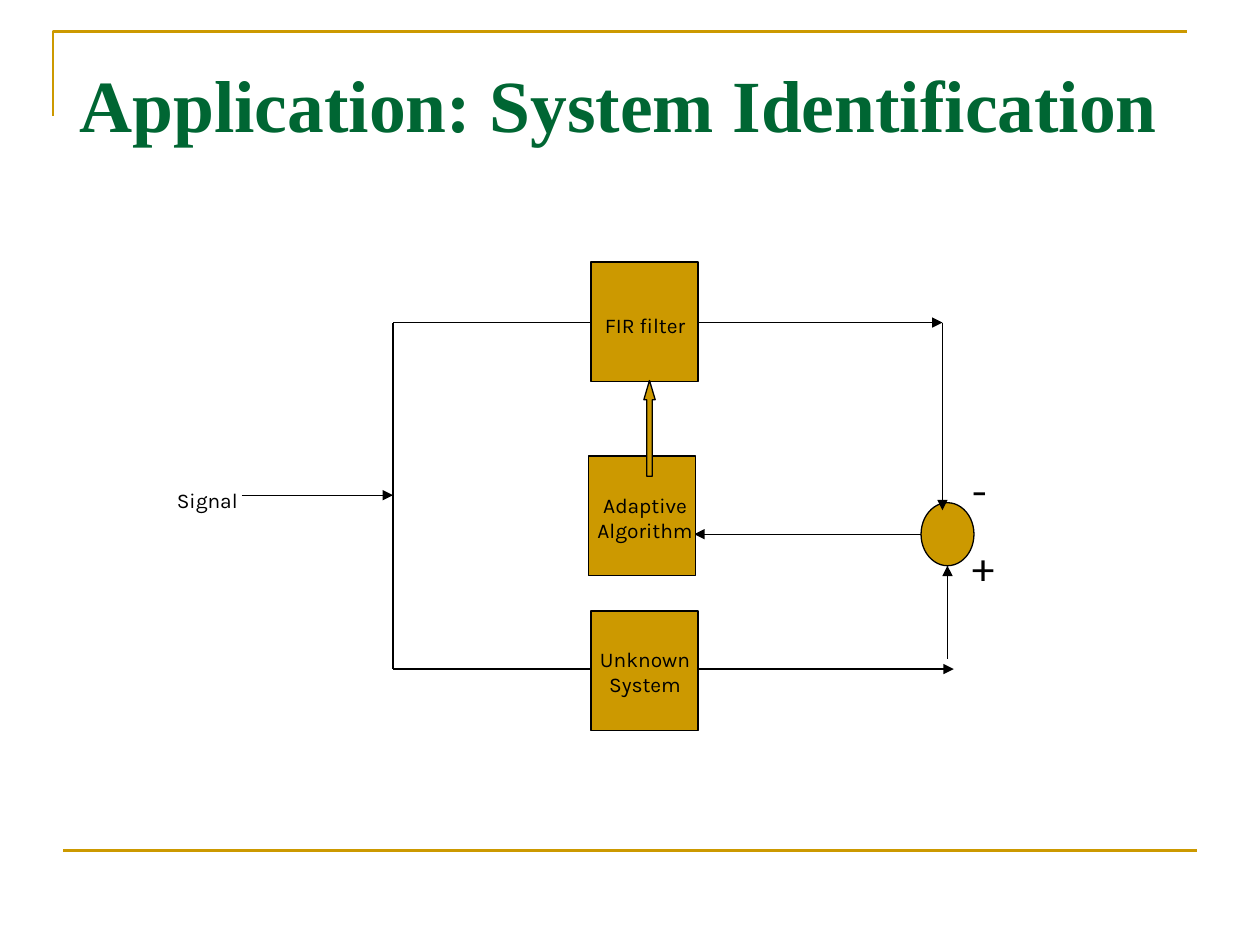
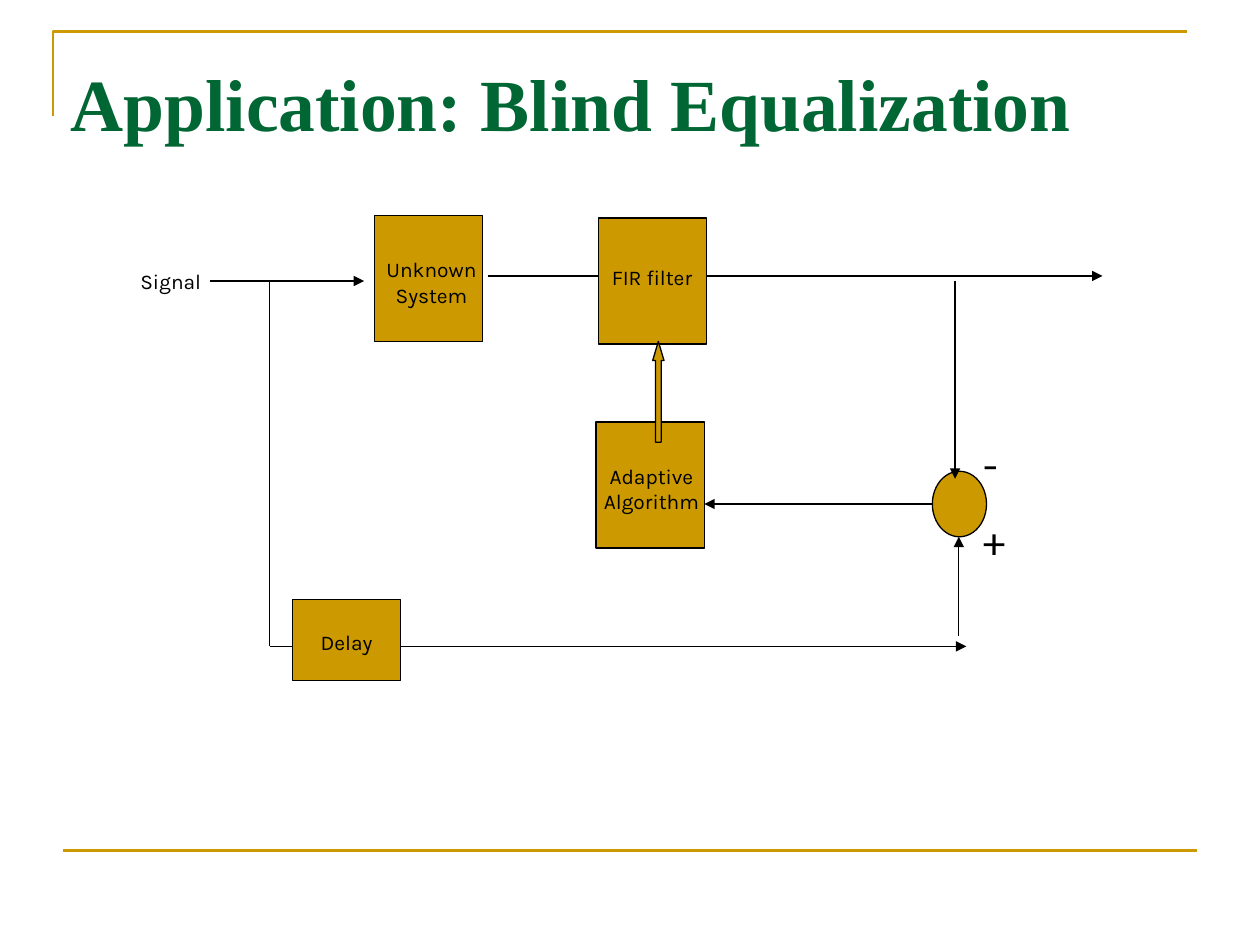
from pptx import Presentation
from pptx.dml.color import RGBColor
from pptx.enum.shapes import MSO_CONNECTOR as Connector, MSO_SHAPE as Shape
from pptx.enum.text import MSO_ANCHOR as Anchor, PP_ALIGN as Align
from pptx.oxml.ns import qn
from pptx.util import Inches, Pt
from lxml.etree import SubElement

GOLD = RGBColor(0xCC, 0x99, 0x00)
GREEN = RGBColor(0x00, 0x66, 0x33)
BLACK = RGBColor(0x00, 0x00, 0x00)
TITLE_FONT, LABEL_FONT = "Times New Roman", "Karla"


def place(shape, box):
    shape.left, shape.top, shape.width, shape.height = map(Inches, box)


def write_text(frame, text, *, font=LABEL_FONT, size=12, color=BLACK, bold=False,
               align=Align.CENTER, gap=0):
    """Fill a text frame, one paragraph per line of text."""
    frame.word_wrap = True
    frame.vertical_anchor = Anchor.TOP
    for index, line in enumerate(text.split("\n")):
        paragraph = frame.add_paragraph() if index else frame.paragraphs[0]
        paragraph.alignment = align
        paragraph.space_before = Pt(gap if index else 0)
        run = paragraph.add_run()
        run.text = line
        run.font.name, run.font.size, run.font.bold = font, Pt(size), bold
        run.font.color.rgb = color


def add_label(slide, text, box, **text_format):
    label = slide.shapes.add_textbox(*map(Inches, box))
    write_text(label.text_frame, text, **text_format)


def add_line(slide, start, end, *, color=BLACK, width=0.75, arrow=True):
    line = slide.shapes.add_connector(Connector.STRAIGHT, *map(Inches, start + end))
    line.line.color.rgb = color
    line.line.width = Pt(width)
    if arrow:
        SubElement(line.line._get_or_add_ln(), qn("a:tailEnd"), type="triangle")
    SubElement(line.element.spPr, qn("a:effectLst"))
    return line


def add_gold_shape(slide, kind, box):
    shape = slide.shapes.add_shape(kind, *map(Inches, box))
    shape.shadow.inherit = False
    shape.fill.solid()
    shape.fill.fore_color.rgb = GOLD
    shape.line.color.rgb = BLACK
    shape.line.width = Pt(0.75)
    return shape


def add_block(slide, text, box, label_box):
    add_gold_shape(slide, Shape.RECTANGLE, box)
    add_label(slide, text, label_box)


def add_update_arrow(slide, box):
    """Hollow arrow from the algorithm up to the filter."""
    arrow = add_gold_shape(slide, Shape.UP_ARROW, box)
    arrow.adjustments[0], arrow.adjustments[1] = 0.5, 1.691


def add_summing_node(slide, box, signs_box):
    add_gold_shape(slide, Shape.OVAL, box)
    add_label(slide, "-\n+", signs_box, size=24, align=Align.LEFT, gap=14)


def add_frame_lines(slide, layout):
    """Draw the corner and footer rules, then hand them to the shared layout."""
    builder = slide.shapes.build_freeform(Inches(0.42), Inches(0.92))
    builder.add_line_segments([(Inches(0.42), Inches(0.25)),
                               (Inches(9.42), Inches(0.25))], close=False)
    corner = builder.convert_to_shape()
    corner.shadow.inherit = False
    corner.fill.background()
    corner.line.color.rgb = GOLD
    corner.line.width = Pt(1.5)
    footer = add_line(slide, (0.5, 6.75), (9.5, 6.75), color=GOLD, width=1.5, arrow=False)
    for shape in (corner, footer):
        layout.shapes.element.append(shape.element)


def add_titled_slide(presentation, layout, title, box):
    slide = presentation.slides.add_slide(layout)
    place(slide.shapes.title, box)
    frame = slide.shapes.title.text_frame
    frame.margin_top = Inches(0.12)
    write_text(frame, title, font=TITLE_FONT, size=42, color=GREEN, bold=True,
               align=Align.LEFT)
    return slide


def draw_system_identification(slide):
    split, top, bottom = 3.12, 2.56, 5.31
    # Signal input and the two branches
    add_label(slide, "Signal", (0.95, 3.82, 1.39, 0.41))
    add_line(slide, (1.92, 3.93), (split, 3.93))
    add_line(slide, (split, top), (split, bottom), arrow=False)
    add_line(slide, (split, top), (7.48, top))
    add_line(slide, (split, bottom), (7.57, bottom))
    # Feedback to the algorithm
    add_line(slide, (7.52, 5.23), (7.52, 4.49))
    add_line(slide, (7.52, 4.24), (5.51, 4.24))
    # Blocks
    add_block(slide, "Unknown System", (4.69, 4.85, 0.85, 0.95), (4.5, 5.08, 1.24, 0.51))
    add_block(slide, "FIR filter", (4.69, 2.08, 0.85, 0.95), (3.91, 2.43, 2.42, 0.41))
    add_block(slide, "Adaptive Algorithm", (4.67, 3.62, 0.85, 0.95), (4.44, 3.86, 1.36, 0.51))
    add_update_arrow(slide, (5.11, 3.02, 0.09, 0.76))
    add_summing_node(slide, (7.31, 3.99, 0.42, 0.5), (7.62, 3.64, 0.46, 1.51))
    add_line(slide, (7.48, top), (7.48, 4.05))


def draw_blind_equalization(slide):
    split, top, bottom = 2.14, 2.23, 5.13
    # Signal input, filter path and delayed branch
    add_label(slide, "Signal", (0.65, 2.08, 1.41, 0.44))
    add_line(slide, (1.67, top), (2.89, top))
    add_line(slide, (split, top), (split, bottom), arrow=False)
    add_line(slide, (3.87, 2.19), (8.75, 2.19))
    add_line(slide, (split, bottom), (7.67, bottom))
    # Feedback to the algorithm
    add_line(slide, (7.61, 5.05), (7.61, 4.26))
    add_line(slide, (7.61, 4), (5.59, 4))
    # Blocks
    add_block(slide, "Unknown System", (2.97, 1.71, 0.86, 1), (2.77, 1.99, 1.31, 0.51))
    add_block(slide, "FIR filter", (4.75, 1.73, 0.86, 1), (3.95, 2.05, 2.45, 0.44))
    add_block(slide, "Adaptive Algorithm", (4.73, 3.35, 0.86, 1), (4.53, 3.63, 1.28, 0.51))
    add_block(slide, "Delay", (2.32, 4.76, 0.86, 0.64), (2, 4.95, 1.5, 0.44))
    add_update_arrow(slide, (5.18, 2.71, 0.09, 0.8))
    add_summing_node(slide, (7.4, 3.74, 0.43, 0.52), (7.71, 3.43, 0.47, 1.59))
    add_line(slide, (7.58, top), (7.58, 3.8))


def main():
    presentation = Presentation()
    presentation.slide_width, presentation.slide_height = Inches(10), Inches(7.5)
    layout = presentation.slide_layouts[5]  # title only

    slide = add_titled_slide(presentation, layout, "Application: System Identification",
                             (0.53, 0.35, 8.97, 1.25))
    add_frame_lines(slide, layout)
    draw_system_identification(slide)

    slide = add_titled_slide(presentation, layout, "Application: Blind Equalization",
                             (0.46, 0.34, 8.52, 1.25))
    draw_blind_equalization(slide)

    presentation.save("out.pptx")


main()
